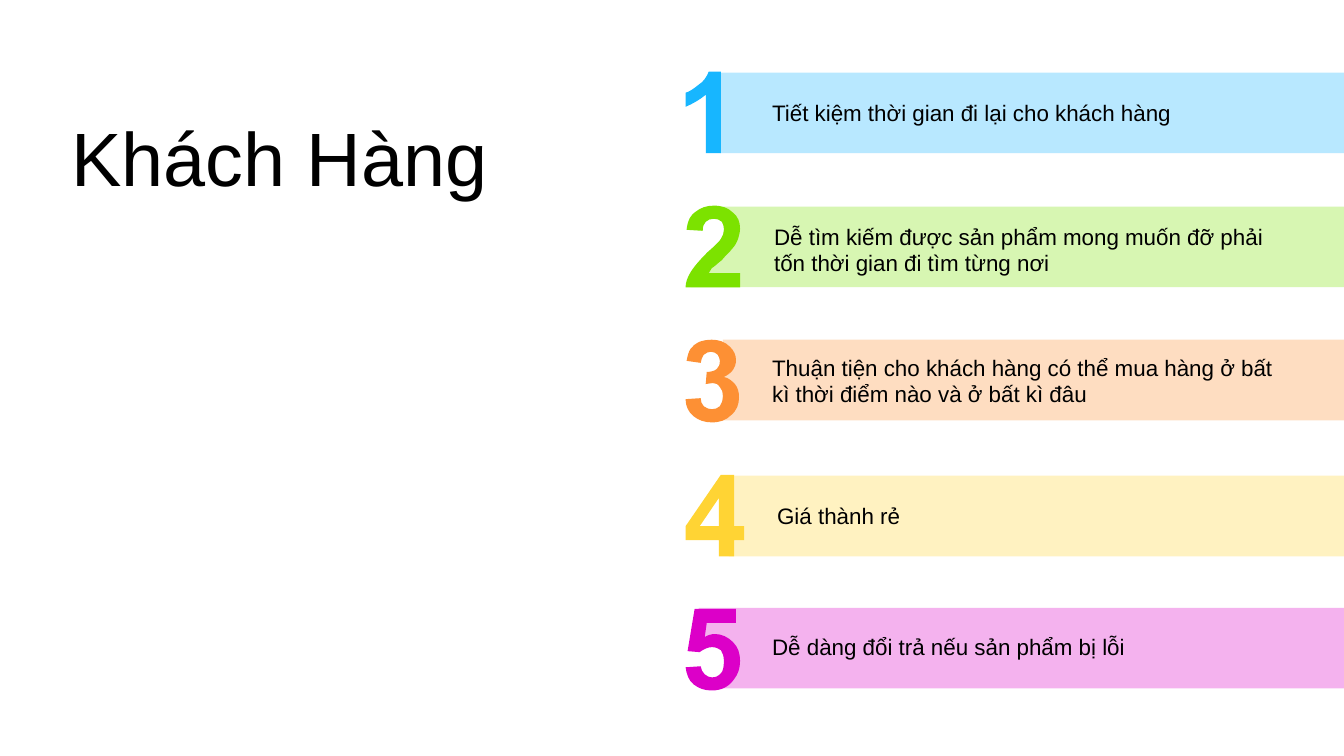
from lxml import etree
from pptx import Presentation
from pptx.dml.color import RGBColor
from pptx.enum.shapes import MSO_SHAPE
from pptx.enum.text import MSO_ANCHOR, MSO_AUTO_SIZE
from pptx.oxml.ns import qn
from pptx.util import Inches, Pt

RECTANGLE = MSO_SHAPE.RECTANGLE
TOP, MIDDLE = MSO_ANCHOR.TOP, MSO_ANCHOR.MIDDLE
GROW = MSO_AUTO_SIZE.SHAPE_TO_FIT_TEXT
BLACK = RGBColor(0x00, 0x00, 0x00)
BLUE = RGBColor(0x17, 0xB6, 0xFF)
GREEN = RGBColor(0x7C, 0xE2, 0x00)
ORANGE = RGBColor(0xFD, 0x90, 0x34)
YELLOW = RGBColor(0xFF, 0xD4, 0x34)
MAGENTA = RGBColor(0xDC, 0x00, 0xC8)

# Content
FONT = "Arial"
TITLE = "Khách Hàng"
PAGE_WIDTH, PAGE_HEIGHT = 13.33, 7.5
BAND_HEIGHT = 0.8
BAND_ALPHA = 30

# Outlines in hundredths of an inch: M move, L line, C cubic curve
ONE = """M 703 71 L 715 71 L 715 152 L 700 152 L 700 94 C 694 99 687 103 680 106
L 680 92 C 684 91 688 88 693 84 C 698 81 701 76 703 71"""
TWO = """M 708 204 C 716 204 722 206 727 211 C 732 215 734 220 734 227
C 734 230 733 234 732 237 C 731 240 729 244 726 247 C 724 250 720 253 716 258
C 711 262 708 265 706 266 C 705 268 704 269 703 271 L 734 271 L 734 285 L 680 285
C 680 280 682 275 685 270 C 688 265 694 258 702 250 C 709 244 714 239 715 237
C 717 234 718 231 718 228 C 718 224 717 222 716 220 C 714 218 711 217 708 217
C 705 217 702 218 700 220 C 698 222 697 225 697 229 L 681 228
C 682 219 685 213 690 210 C 695 206 701 204 708 204"""
THREE = """M 706 337 C 713 337 719 339 724 344 C 728 348 730 352 730 357
C 730 365 726 370 718 374 C 723 375 726 378 729 381 C 732 385 733 389 733 394
C 733 401 731 407 725 412 C 720 417 714 419 706 419 C 699 419 693 417 688 413
C 683 409 680 403 680 396 L 695 395 C 695 398 696 401 698 403
C 701 405 703 406 706 406 C 709 406 712 405 714 403 C 716 400 717 397 717 393
C 717 389 716 386 714 384 C 712 381 710 380 707 380 C 705 380 702 381 700 381
L 701 369 C 705 369 709 368 711 366 C 713 364 714 362 714 358
C 714 356 713 354 712 352 C 710 350 708 349 705 349 C 703 349 700 350 698 352
C 697 354 695 357 695 360 L 681 358 C 682 353 683 349 685 346
C 687 343 690 341 694 339 C 697 338 701 337 706 337"""
FOUR = """M 713 494 L 694 522 L 713 522 M 715 471 L 728 471 L 728 522 L 738 522
L 738 536 L 728 536 L 728 552 L 713 552 L 713 536 L 680 536 L 680 522"""
FIVE = """M 689 604 L 730 604 L 730 618 L 701 618 L 699 632 C 702 630 706 629 709 629
C 716 629 722 632 727 637 C 732 642 734 648 734 656 C 734 663 732 669 728 674
C 723 681 716 685 706 685 C 699 685 693 683 688 679 C 683 675 681 669 680 662
L 695 661 C 695 664 697 667 699 669 C 701 671 704 672 706 672
C 710 672 712 671 715 668 C 717 666 718 662 718 656 C 718 651 717 648 715 645
C 712 643 710 642 706 642 C 702 642 698 644 694 647 L 682 646"""
BAND_TWO = """M 712 205 L 1333 205 L 1333 285 L 739 285 L 712 285 L 685 285
C 697 271 695 253 722 244 C 747 219 712 217 712 205"""
BAND_FIVE = """M 693 603 L 735 603 L 1333 603 L 1333 683 L 716 683
C 726 669 727 655 716 639 L 693 639"""

# Colour, digit, band (left and top, or an outline), from back to front
BANDS = [
    (BLUE, ONE, (7.14, 0.72)),
    (ORANGE, THREE, (7.17, 3.37)),
    (YELLOW, FOUR, (7.23, 4.72)),
    (MAGENTA, FIVE, BAND_FIVE),
    (GREEN, TWO, BAND_TWO),
]

# Left, top, height, words
BENEFITS = [
    (7.56, 0.93, 0.37, "Tiết kiệm thời gian đi lại cho khách hàng"),
    (7.58, 2.16, 0.64,
     "Dễ tìm kiếm được sản phẩm mong muốn đỡ phải tốn thời gian đi tìm từng nơi"),
    (7.56, 3.46, 0.64,
     "Thuận tiện cho khách hàng có thể mua hàng ở bất kì thời điểm nào và ở bất kì đâu"),
    (7.61, 4.93, 0.37, "Giá thành rẻ"),
    (7.56, 6.23, 0.37, "Dễ dàng đổi trả nếu sản phẩm bị lỗi"),
]


def read_contours(outline):
    """Turn an outline into contours, each a list of segments of one or three points."""
    tokens = iter(outline.split())
    contours = []
    for command in tokens:
        count = 3 if command == "C" else 1
        segment = [(Inches(int(next(tokens)) / 100), Inches(int(next(tokens)) / 100))
                   for _ in range(count)]
        if command == "M":
            contours.append([])
        contours[-1].append(segment)
    return contours


def add_outline(group, outline):
    contours = read_contours(outline)
    builder = group.shapes.build_freeform(*contours[0][0][0], scale=1.0)
    for index, (start, *segments) in enumerate(contours):
        if index:
            builder.move_to(*start[0])
        builder.add_line_segments([segment[-1] for segment in segments], close=True)
    shape = builder.convert_to_shape()

    # Bend the lines that stand for curves
    lines = list(shape._element.iter(qn("a:lnTo")))
    segments = [segment for contour in contours for segment in contour[1:]]
    for line, segment in zip(lines, segments):
        if len(segment) == 3:
            curve = etree.Element(qn("a:cubicBezTo"))
            for x, y in segment:
                point = etree.SubElement(curve, qn("a:pt"))
                point.set("x", str(x - shape.left))
                point.set("y", str(y - shape.top))
            line.getparent().replace(line, curve)
    return shape


def paint(shape, color, alpha=100):
    shape.shadow.inherit = False
    shape.fill.solid()
    shape.fill.fore_color.rgb = color
    shape.line.fill.background()
    if alpha < 100:
        tint = shape._element.spPr.find(qn("a:solidFill"))[0]
        etree.SubElement(tint, qn("a:alpha")).set("val", str(alpha * 1000))


def add_text(page, left, top, width, height, words, size, anchor=TOP):
    box = page.shapes.add_textbox(Inches(left), Inches(top), Inches(width), Inches(height))
    frame = box.text_frame
    frame.word_wrap = True
    frame.auto_size = GROW
    frame.vertical_anchor = anchor
    frame.text = words
    font = frame.paragraphs[0].runs[0].font
    font.name, font.size = FONT, Pt(size)
    font.color.rgb = BLACK


def main():
    deck = Presentation()
    deck.slide_width, deck.slide_height = Inches(PAGE_WIDTH), Inches(PAGE_HEIGHT)
    page = deck.slides.add_slide(deck.slide_layouts[6])

    # Title
    add_text(page, 0.61, 1.04, 4.37, 1.01, TITLE, 54, MIDDLE)

    # Numbered bands running to the right edge
    for color, digit, band in BANDS:
        group = page.shapes.add_group_shape()
        if isinstance(band, str):
            band_shape = add_outline(group, band)
        else:
            left, top = band
            band_shape = group.shapes.add_shape(
                RECTANGLE, Inches(left), Inches(top),
                Inches(PAGE_WIDTH - left), Inches(BAND_HEIGHT))
        paint(band_shape, color, BAND_ALPHA)
        paint(add_outline(group, digit), color)

    # Benefits
    for left, top, height, words in BENEFITS:
        add_text(page, left, top, 5.34, height, words, 16)

    deck.save("out.pptx")


if __name__ == "__main__":
    main()
